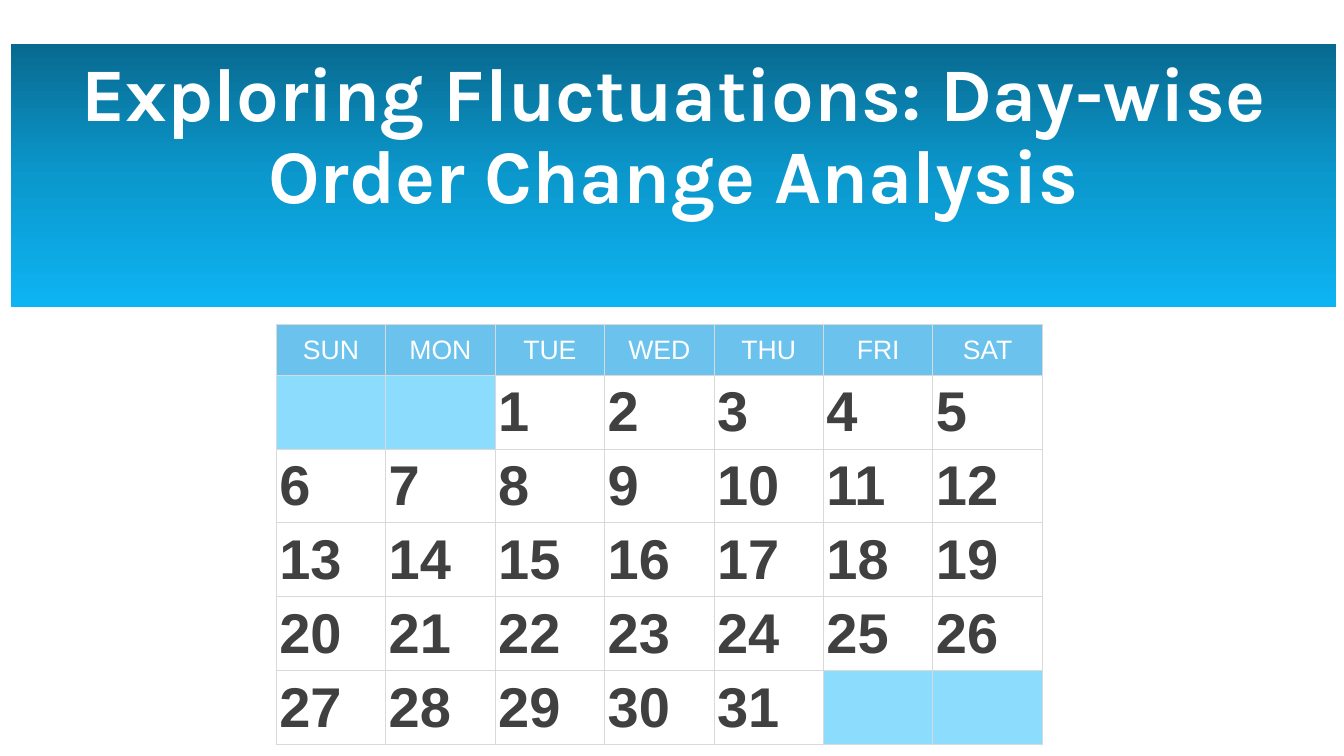
from pptx import Presentation
from pptx.dml.color import RGBColor as Rgb
from pptx.enum.shapes import MSO_SHAPE as Shape
from pptx.enum.text import MSO_ANCHOR as Anchor, PP_ALIGN as Align
from pptx.oxml import parse_xml
from pptx.oxml.ns import nsdecls
from pptx.util import Inches, Pt

COLORS = {
    "white": "FFFFFF", "text": "404040", "grid": "D9D9D9",
    "head": "6BC2ED", "blank": "8CDCFE",
    "top": "086A90", "mid": "0B98CD", "low": "0DB4F3",
}
DAYS = ["SUN", "MON", "TUE", "WED", "THU", "FRI", "SAT"]
START, LAST, WEEKS = 2, 31, 5


def color(name):
    return Rgb.from_string(COLORS[name])


def write(frame, text, size, ink="white", font="Arial", bold=False,
          align=Align.LEFT, space=1.0):
    par = frame.paragraphs[0]
    par.alignment = align
    par.line_spacing = space
    run = par.add_run()
    run.text = text
    run.font.size = Pt(size)
    run.font.name = font
    run.font.bold = bold
    run.font.color.rgb = color(ink)


def shade(shape, names):
    """Fill a shape from top to bottom with evenly spaced colours."""
    step = 100000 // (len(names) - 1)
    stops = "".join(
        f'<a:gs pos="{i * step}"><a:srgbClr val="{COLORS[name]}"/></a:gs>'
        for i, name in enumerate(names))
    fill = parse_xml(
        f'<a:gradFill {nsdecls("a")} rotWithShape="1"><a:gsLst>{stops}</a:gsLst>'
        '<a:lin ang="5400000" scaled="0"/></a:gradFill>')
    shape.element.spPr.insert(2, fill)


def edge(cell):
    """Draw thin lines on all four sides of a cell."""
    props = cell._tc.get_or_add_tcPr()
    for side in ("lnL", "lnR", "lnT", "lnB"):
        props.append(parse_xml(
            f'<a:{side} {nsdecls("a")} w="{Pt(0.75)}"><a:solidFill>'
            f'<a:srgbClr val="{COLORS["grid"]}"/></a:solidFill></a:{side}>'))


def paint(cell, fill, pad_x, pad_y):
    edge(cell)
    cell.fill.solid()
    cell.fill.fore_color.rgb = color(fill)
    cell.vertical_anchor = Anchor.MIDDLE
    cell.margin_left = cell.margin_right = Inches(pad_x)
    cell.margin_top = cell.margin_bottom = Inches(pad_y)


def add_title(slide, x, y, w, h):
    band = slide.shapes.add_shape(
        Shape.RECTANGLE, Inches(x), Inches(y), Inches(w), Inches(h))
    band.shadow.inherit = False
    band.line.fill.background()
    shade(band, ["top", "mid", "low"])
    frame = band.text_frame
    frame.word_wrap = True
    frame.vertical_anchor = Anchor.BOTTOM
    frame.margin_bottom = Inches(0.87)
    write(frame, "Exploring Fluctuations: Day-wise Order Change Analysis", 54,
          font="Karla", bold=True, align=Align.CENTER, space=0.9)


def add_month(slide, x, y, w, h, head=0.5):
    table = slide.shapes.add_table(
        WEEKS + 1, len(DAYS), Inches(x), Inches(y), Inches(w), Inches(h)).table
    for col in table.columns:
        col.width = Inches(w / len(DAYS))
    for row in table.rows:
        row.height = Inches((h - head) / WEEKS)
    table.rows[0].height = Inches(head)

    # Weekday names
    for col, name in enumerate(DAYS):
        cell = table.cell(0, col)
        paint(cell, "head", 0.1, 0.05)
        write(cell.text_frame, name, 19, align=Align.CENTER)

    # Dates, with tinted cells outside the month
    for slot in range(WEEKS * len(DAYS)):
        row, col = divmod(slot, len(DAYS))
        cell = table.cell(row + 1, col)
        date = slot - START + 1
        inside = 1 <= date <= LAST
        paint(cell, "white" if inside else "blank", 0.03, 0.01)
        if inside:
            write(cell.text_frame, str(date), 40, ink="text", bold=True)


def main():
    deck = Presentation()
    deck.slide_width, deck.slide_height = Inches(13.33), Inches(7.5)
    slide = deck.slides.add_slide(deck.slide_layouts[6])
    add_title(slide, 0.11, 0.44, 13.14, 2.61)
    add_month(slide, 2.74, 3.22, 7.6, 4.17)
    deck.save("out.pptx")


if __name__ == "__main__":
    main()
